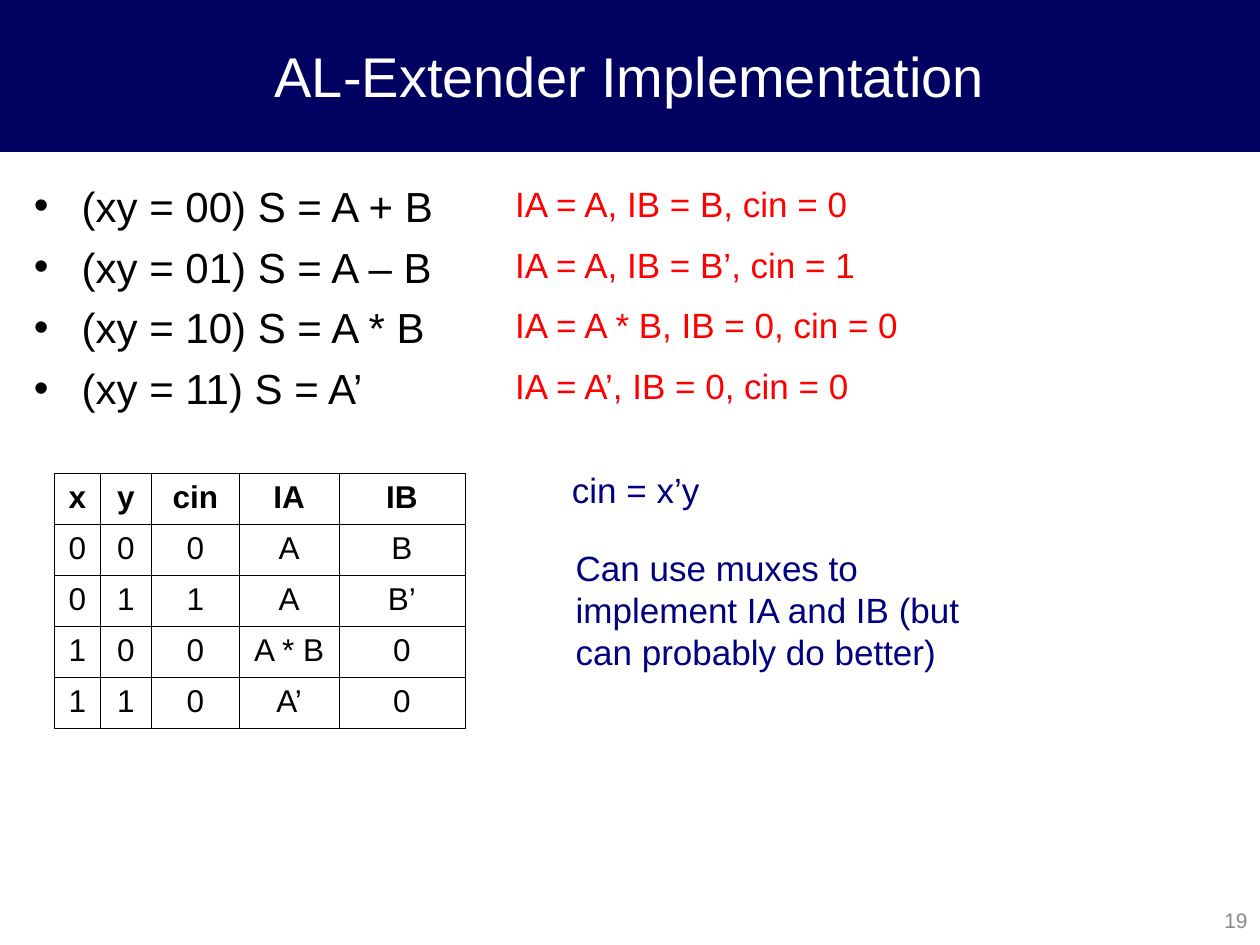
"""Build the AL-Extender implementation slide."""
import pptx
import pptx.dml.color
import pptx.enum.shapes
import pptx.enum.text
import pptx.oxml
import pptx.oxml.ns
import pptx.util

Inches = pptx.util.Inches
Pt = pptx.util.Pt
ALIGN = pptx.enum.text.PP_ALIGN
ANCHOR = pptx.enum.text.MSO_ANCHOR

TITLE = "AL-Extender Implementation"
BAND = (0, 0, 10, 1.2)
NAVY, RED, BLUE, BLACK, WHITE, GRAY = "000060", "FF0000", "000080", "000000", "FFFFFF", "898989"
OPERATIONS = [
    "(xy = 00) S = A + B",
    "(xy = 01) S = A – B",
    "(xy = 10) S = A * B",
    "(xy = 11) S = A’",
]
SETTINGS = [
    "IA = A, IB = B, cin = 0",
    "IA = A, IB = B’, cin = 1",
    "IA = A * B, IB = 0, cin = 0",
    "IA = A’, IB = 0, cin = 0",
]
NOTES = [
    ("cin = x’y", (4.44, 3.67, 1.58, 0.44)),
    ("Can use muxes to implement IA and IB (but can probably do better)", (4.47, 4.29, 3.25, 1.44)),
]
TRUTH_TABLE = [
    ("x", "y", "cin", "IA", "IB"),
    ("0", "0", "0", "A", "B"),
    ("0", "1", "1", "A", "B’"),
    ("1", "0", "0", "A * B", "0"),
    ("1", "1", "0", "A’", "0"),
]
COLUMN_WIDTHS = [0.37, 0.4, 0.7, 0.79, 1]
ROW_HEIGHT = 0.405


def rgb(color):
    return pptx.dml.color.RGBColor.from_string(color)


def inches(box):
    return [Inches(length) for length in box]


def add_bullet(paragraph, indent):
    properties = paragraph._p.get_or_add_pPr()
    properties.set("marL", str(Inches(indent)))
    properties.set("indent", str(-Inches(indent)))
    namespace = pptx.oxml.ns.nsdecls("a")
    for xml in (f'<a:buFont {namespace} typeface="Arial"/>', f'<a:buChar {namespace} char="•"/>'):
        properties.append(pptx.oxml.parse_xml(xml))


def write(frame, *lines, size=20, color=BLACK, bold=False, align=ALIGN.LEFT,
          anchor=ANCHOR.TOP, bullet_indent=None, space_before=0):
    frame.word_wrap = True
    frame.vertical_anchor = anchor
    for index, line in enumerate(lines):
        paragraph = frame.add_paragraph() if index else frame.paragraphs[0]
        paragraph.text = line
        paragraph.alignment = align
        paragraph.space_before = Pt(space_before if index else 0)
        if bullet_indent:
            add_bullet(paragraph, bullet_indent)
        font = paragraph.font
        font.name, font.size, font.bold = "Arial", Pt(size), bold
        font.color.rgb = rgb(color)


def add_text(slide, box, *lines, **text_format):
    write(slide.shapes.add_textbox(*inches(box)).text_frame, *lines, **text_format)


def add_header(slide):
    band = slide.shapes.add_shape(pptx.enum.shapes.MSO_SHAPE.RECTANGLE, *inches(BAND))
    band.shadow.inherit = False
    band.fill.solid()
    band.fill.fore_color.rgb = rgb(NAVY)
    band.line.color.rgb = rgb(NAVY)
    band.line.width = Pt(0.75)
    title = slide.shapes.title
    title._element.addprevious(band._element)
    title.left, title.top, title.width, title.height = inches(BAND)
    write(title.text_frame, TITLE, size=32, color=WHITE, align=ALIGN.CENTER, anchor=ANCHOR.MIDDLE)
    title.text_frame.auto_size = pptx.enum.text.MSO_AUTO_SIZE.NONE


def add_borders(cell):
    properties = cell._tc.get_or_add_tcPr()
    for side in "LRTB":
        properties.append(pptx.oxml.parse_xml(
            f'<a:ln{side} {pptx.oxml.ns.nsdecls("a")} w="{Pt(0.45)}">'
            f'<a:solidFill><a:srgbClr val="{BLACK}"/></a:solidFill></a:ln{side}>'))


def add_truth_table(slide):
    rows, columns = len(TRUTH_TABLE), len(COLUMN_WIDTHS)
    box = (0.43, 3.76, sum(COLUMN_WIDTHS), rows * ROW_HEIGHT)
    table = slide.shapes.add_table(rows, columns, *inches(box)).table
    for column, width in zip(table.columns, COLUMN_WIDTHS):
        column.width = Inches(width)
    for row_index, values in enumerate(TRUTH_TABLE):
        table.rows[row_index].height = Inches(ROW_HEIGHT)
        for column_index, value in enumerate(values):
            cell = table.cell(row_index, column_index)
            add_borders(cell)
            cell.fill.background()
            write(cell.text_frame, value, size=18, bold=row_index == 0, align=ALIGN.CENTER)


def main():
    presentation = pptx.Presentation()
    presentation.slide_width, presentation.slide_height = Inches(10), Inches(7.5)
    slide = presentation.slides.add_slide(presentation.slide_layouts[5])
    add_header(slide)
    add_text(slide, (0.17, 1.38, 9.66, 5.72), *OPERATIONS, size=24, bullet_indent=0.38, space_before=6)
    add_text(slide, (7.88, 7.1, 2.12, 0.4), "19", size=12, color=GRAY,
             align=ALIGN.RIGHT, anchor=ANCHOR.MIDDLE)
    for index, setting in enumerate(SETTINGS):
        add_text(slide, (3.99, 1.4 + 0.48 * index, 3.31, 0.44), setting, color=RED)
    add_truth_table(slide)
    for note, box in NOTES:
        add_text(slide, box, note, color=BLUE)
    presentation.save("out.pptx")


if __name__ == "__main__":
    main()
